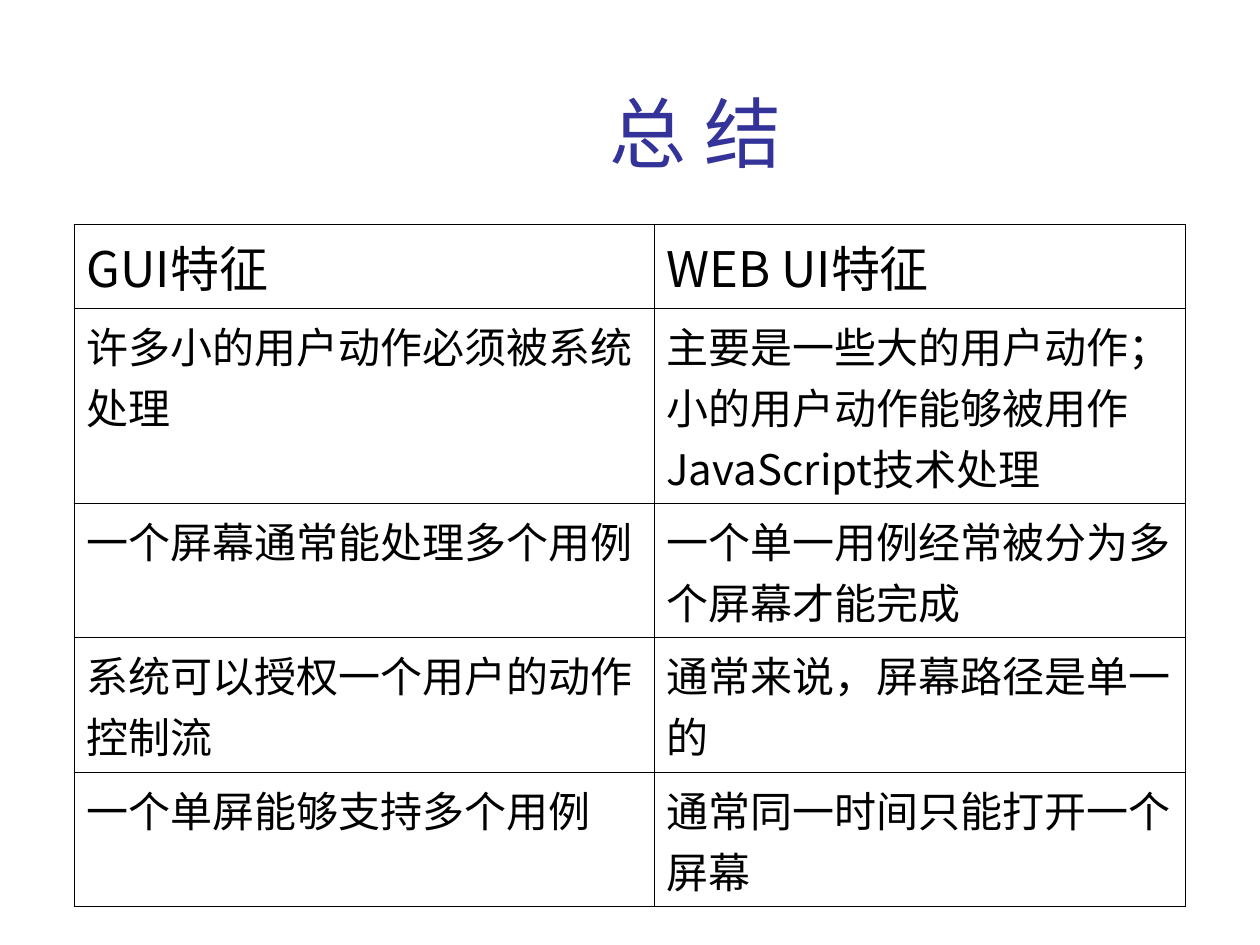
from dataclasses import dataclass

from lxml.etree import SubElement
from pptx import Presentation
from pptx.dml.color import RGBColor
from pptx.enum.text import MSO_ANCHOR as Anchor, PP_ALIGN as Align
from pptx.oxml.ns import qn
from pptx.util import Inches, Pt

WIDTH, HEIGHT = 10, 7.5
SANS, LATIN = "Noto Sans CJK SC", "Roboto"
INK, TITLE_INK, PAPER = "000000", "333399", "FFFFFF"
OUTER, INNER = 1.08, 0.45
COLUMN_PERCENTS = (46, 42.2)
ROW_PERCENTS = (8.87, 20.64, 14.23, 14.23, 14.23)


@dataclass(frozen=True)
class Span:
    text: str
    font: str = SANS


@dataclass(frozen=True)
class Feature:
    gui: tuple[Span, ...]
    web: tuple[Span, ...]
    size: int = 24


FEATURES = (
    Feature((Span("GUI特征"),), (Span("WEB UI特征"),), 28),
    Feature(
        (Span("许多小的用户动作必须被系统处理"),),
        (Span("主要是一些大的用户动作；小的用户动作能够被用作JavaScript技术处理"),),
    ),
    Feature(
        (Span("一个屏幕通常能处理多个用例"),),
        (Span("一个单一用例经常被分为多个屏幕才能完成", LATIN),),
    ),
    Feature(
        (Span("系统可以授权一个"), Span("用户的动作控制流", LATIN)),
        (Span("通常来说，屏幕路径是单一的", LATIN),),
    ),
    Feature(
        (Span("一个单屏能够支持多个用例"),),
        (Span("通常同一时间只能打开一个屏幕"),),
    ),
)


def across(percent: float) -> int:
    return Inches(percent * WIDTH / 100)


def down(percent: float) -> int:
    return Inches(percent * HEIGHT / 100)


def color(value: str) -> RGBColor:
    return RGBColor.from_string(value)


def add_text(para, text: str, *, size: int, font: str = SANS, ink: str = INK) -> None:
    run = para.add_run()
    run.text = text
    run.font.size = Pt(size)
    run.font.name = font
    run.font.color.rgb = color(ink)
    SubElement(run.font._element, qn("a:ea"), typeface=SANS)


def set_borders(cell, widths: dict[str, float]) -> None:
    properties = cell._tc.get_or_add_tcPr()
    for position, (side, width) in enumerate(widths.items()):
        line = SubElement(properties, qn(f"a:ln{side}"), w=str(Pt(width)))
        fill = SubElement(line, qn("a:solidFill"))
        SubElement(fill, qn("a:srgbClr"), val=INK)
        properties.insert(position, line)


def add_title(page) -> None:
    box = page.shapes.add_textbox(across(12.6), down(8.97), across(85.2), down(10.53))
    frame = box.text_frame
    frame.word_wrap = True
    frame.vertical_anchor = Anchor.BOTTOM
    para = frame.paragraphs[0]
    para.alignment = Align.CENTER
    add_text(para, "总 结", size=44, ink=TITLE_INK)


def add_features(page, features: tuple[Feature, ...]) -> None:
    last_row, last_column = len(features) - 1, len(COLUMN_PERCENTS) - 1
    table = page.shapes.add_table(
        len(features), len(COLUMN_PERCENTS), across(5.9), down(23.76),
        across(sum(COLUMN_PERCENTS)), down(sum(ROW_PERCENTS)),
    ).table
    table.first_row = table.horz_banding = False
    for column, percent in zip(table.columns, COLUMN_PERCENTS):
        column.width = across(percent)
    for row, percent in zip(table.rows, ROW_PERCENTS):
        row.height = down(percent)
    for row, feature in enumerate(features):
        for column, spans in enumerate((feature.gui, feature.web)):
            cell = table.cell(row, column)
            cell.fill.solid()
            cell.fill.fore_color.rgb = color(PAPER)
            set_borders(cell, {
                "L": OUTER if column == 0 else INNER,
                "R": OUTER if column == last_column else INNER,
                "T": OUTER if row == 0 else INNER,
                "B": OUTER if row == last_row else INNER,
            })
            para = cell.text_frame.paragraphs[0]
            for span in spans:
                add_text(para, span.text, size=feature.size, font=span.font)


def main() -> None:
    deck = Presentation()
    deck.slide_width, deck.slide_height = Inches(WIDTH), Inches(HEIGHT)
    page = deck.slides.add_slide(deck.slide_layouts[6])
    add_title(page)
    add_features(page, FEATURES)
    deck.save("out.pptx")


if __name__ == "__main__":
    main()
